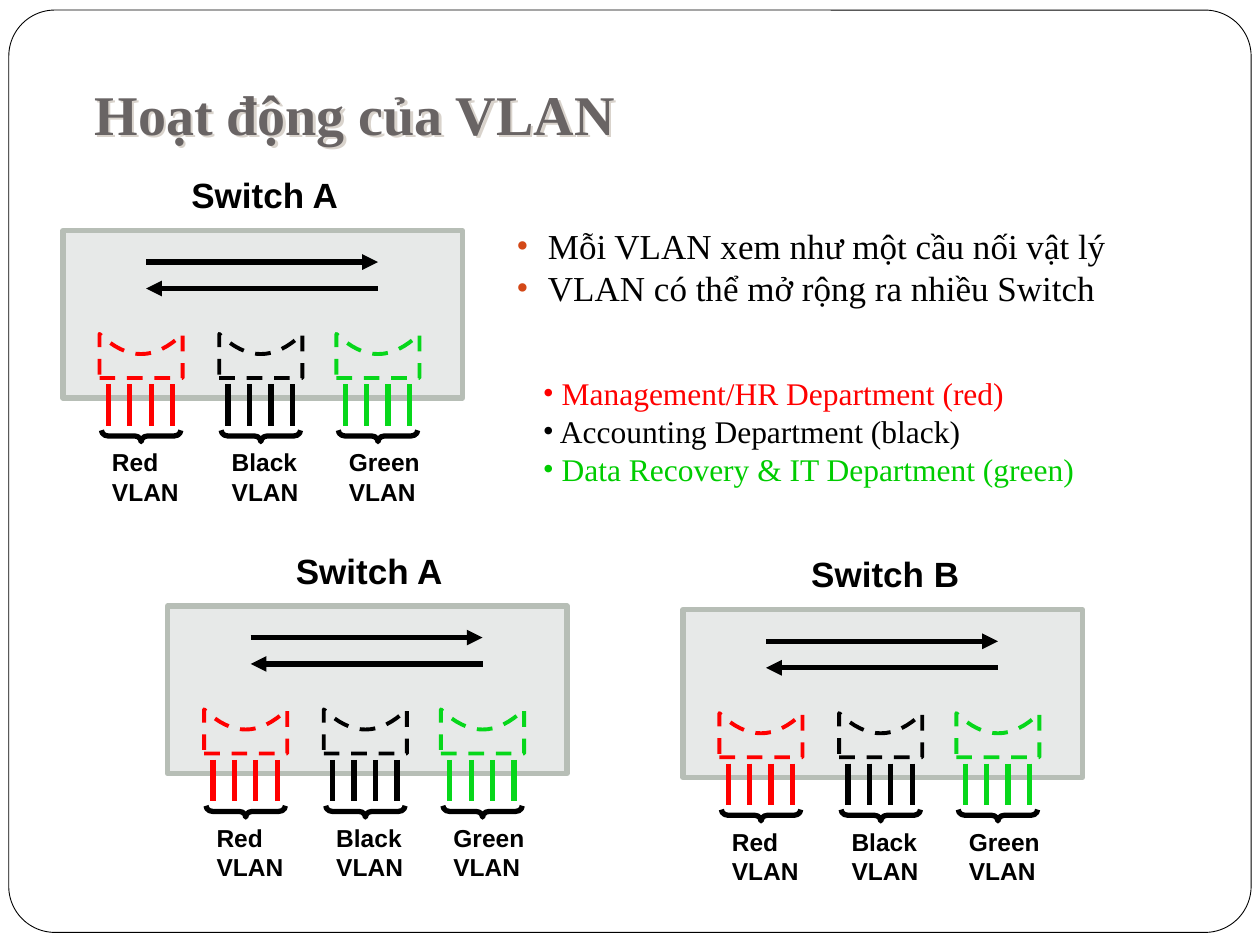
import lxml.etree
import pptx
import pptx.util
import pptx.dml.color
import pptx.enum.dml
import pptx.enum.shapes
import pptx.enum.text
import pptx.oxml
import pptx.oxml.ns

Inches, Pt = pptx.util.Inches, pptx.util.Pt
SHAPE = pptx.enum.shapes.MSO_SHAPE
LINK = pptx.enum.shapes.MSO_CONNECTOR.STRAIGHT
DASH = pptx.enum.dml.MSO_LINE.DASH
qn = pptx.oxml.ns.qn
SERIF, SANS = "Times New Roman", "Arial"
BLACK, RED = "000000", "FF0000"

# VLAN name, colour, offset from the switch
PORTS = [("Red", RED, 0.29), ("Black", BLACK, 1.24), ("Green", "07D71B", 2.17)]


def color(code):
    return pptx.dml.color.RGBColor.from_string(code)


def paint(shape, fill, line, width):
    """Set fill (None for hollow) and outline, without shadow."""
    shape.shadow.inherit = False
    if fill:
        shape.fill.solid()
        shape.fill.fore_color.rgb = color(fill)
    else:
        shape.fill.background()
    shape.line.color.rgb = color(line)
    shape.line.width = Pt(width)


def add_line(shapes, start, end, tint, arrow=None):
    """Draw a 3 pt line; arrow is headEnd or tailEnd."""
    link = shapes.add_connector(LINK, *map(Inches, start + end))
    link.line.color.rgb = color(tint)
    link.line.width = Pt(3)
    if arrow:
        tip = lxml.etree.SubElement(link.line._get_or_add_ln(), qn("a:" + arrow))
        tip.set("type", "triangle")
    lxml.etree.SubElement(link._element.spPr, qn("a:effectLst"))


def add_text(shapes, box, lines, size, font, bold=False):
    """Write (text, colour) lines as paragraphs in a new text box."""
    shape = shapes.add_textbox(*map(Inches, box))
    frame = shape.text_frame
    frame.word_wrap = True
    frame.vertical_anchor = pptx.enum.text.MSO_ANCHOR.MIDDLE
    for i, (text, tint) in enumerate(lines):
        para = frame.add_paragraph() if i else frame.paragraphs[0]
        run = para.add_run()
        run.text = text
        run.font.size, run.font.name, run.font.bold = Pt(size), font, bold
        run.font.color.rgb = color(tint)
    return shape


def add_dots(shape, tint=None, indent=0):
    """Give each paragraph a round bullet."""
    for para in shape.text_frame.paragraphs:
        props = para._p.get_or_add_pPr()
        props.set("marL", str(Inches(indent)))
        props.set("indent", str(-Inches(indent)))
        if tint:
            hue = lxml.etree.SubElement(props, qn("a:buClr"))
            lxml.etree.SubElement(hue, qn("a:srgbClr")).set("val", tint)
        lxml.etree.SubElement(props, qn("a:buFont")).set("typeface", SERIF)
        lxml.etree.SubElement(props, qn("a:buChar")).set("char", "•")


def add_port(shapes, x, y, name, tint):
    """Draw one VLAN: dashed bridge, four wires, brace and label."""
    wide, high, sag, steps = 0.66, 0.35, 0.16, 16
    curve = []
    for i in range(steps + 1):
        t = 1 - i / steps
        curve.append((x + wide * t, y + sag * 4 * t * (1 - t)))
    pen = shapes.build_freeform(Inches(x), Inches(y + high), scale=1.0)
    points = [(x + wide, y + high)] + curve
    pen.add_line_segments([(Inches(a), Inches(b)) for a, b in points], close=True)
    bridge = pen.convert_to_shape()
    paint(bridge, None, tint, 2.25)
    bridge.line.dash_style = DASH

    for i in range(4):
        wire = x + 0.07 + 0.17 * i
        add_line(shapes, (wire, y + 0.4), (wire, y + 0.73), tint)

    thick, span = 0.09, 0.63
    brace = shapes.add_shape(SHAPE.RIGHT_BRACE,
                             Inches(x + (wide - thick) / 2),
                             Inches(y + 0.81 - span / 2),
                             Inches(thick), Inches(span))
    brace.rotation = 90
    brace.adjustments[0] = 0.58
    paint(brace, None, BLACK, 3)
    add_text(shapes, (x, y + 0.85, 0.85, 0.57),
             [(name, BLACK), ("VLAN", BLACK)], 14, SANS, True)


def add_switch(slide, x, y, name):
    """Draw a switch whose case has its corner at x, y."""
    shapes = slide.shapes.add_group_shape().shapes
    add_text(shapes, (x + 0.92, y - 0.5, 1.5, 0.43), [(name, BLACK)],
             20, SANS, True)
    case = shapes.add_shape(SHAPE.RECTANGLE, Inches(x), Inches(y),
                            Inches(3.17), Inches(1.33))
    paint(case, "E7E9E8", "B7BEB6", 3)
    for drop, arrow in ((0.25, "tailEnd"), (0.46, "headEnd")):
        add_line(shapes, (x + 0.66, y + drop), (x + 2.5, y + drop), BLACK, arrow)
    for label, tint, shift in PORTS:
        add_port(shapes, x + shift, y + 0.82, label, tint)


def add_title(slide, box):
    """Write the heading with a pale shadow."""
    shape = add_text(slide.shapes, box, [("Hoạt động của VLAN", "696464")],
                     32, SERIF, True)
    frame = shape.text_frame
    frame.margin_left = frame.margin_right = Inches(0.08)
    frame.margin_top = frame.margin_bottom = Inches(0.04)
    glow = lxml.etree.SubElement(shape._element.spPr, qn("a:effectLst"))
    shade = lxml.etree.SubElement(glow, qn("a:outerShdw"))
    shade.set("dist", str(Pt(2)))
    shade.set("dir", "2700000")
    lxml.etree.SubElement(shade, qn("a:srgbClr")).set("val", "D9D3CC")


def add_notes(slide, x, y):
    """Write both bullet lists, the first with its corner at x, y."""
    facts = add_text(slide.shapes, (x, y, 5.25, 0.77),
                     [("Mỗi VLAN xem như một cầu nối vật lý", BLACK),
                      ("VLAN có thể mở rộng ra nhiều Switch", BLACK)], 20, SERIF)
    add_dots(facts, "D34817", 0.25)
    teams = add_text(slide.shapes, (x + 0.21, y + 1.19, 4.45, 1),
                     [(" Management/HR Department (red)", RED),
                      (" Accounting Department (black)", BLACK),
                      (" Data Recovery & IT Department (green)", "00CC00")],
                     18, SERIF)
    add_dots(teams)


def main():
    deck = pptx.Presentation()
    deck.slide_width, deck.slide_height = Inches(10), Inches(7.5)
    slide = deck.slides.add_slide(deck.slide_layouts[6])

    # Page frame
    page = slide.shapes.add_shape(SHAPE.ROUNDED_RECTANGLE, Inches(0.07),
                                  Inches(0.08), Inches(9.86), Inches(7.32))
    page.adjustments[0] = 0.05
    paint(page, "FFFFFF", BLACK, 0.5)

    # Heading, switches and lists
    add_title(slide, (0.67, 0.58, 7.5, 0.63))
    add_switch(slide, 0.5, 1.83, "Switch A")
    add_switch(slide, 1.33, 4.81, "Switch A")
    add_switch(slide, 5.42, 4.84, "Switch B")
    add_notes(slide, 4, 1.73)
    deck.save("out.pptx")


if __name__ == "__main__":
    main()
